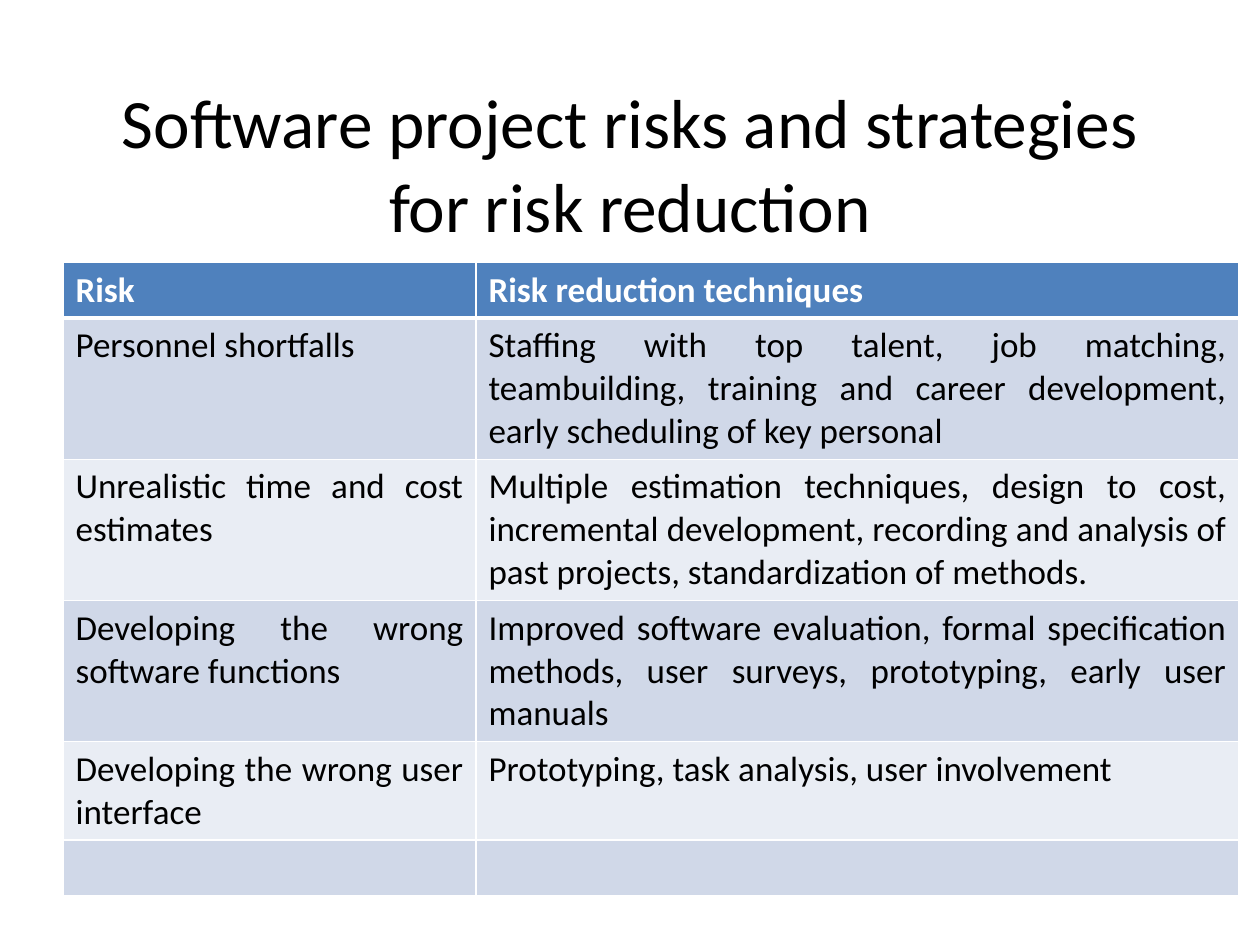
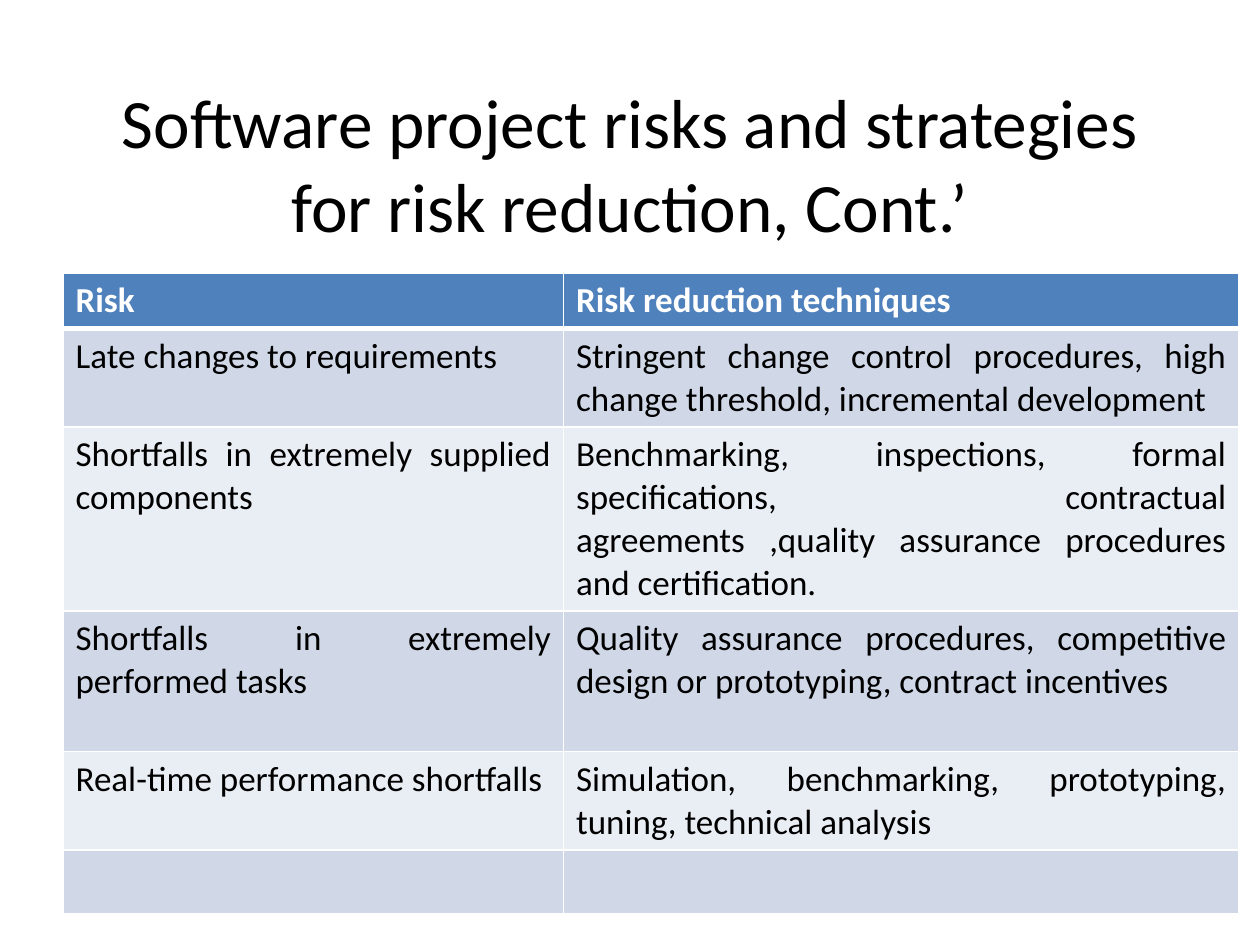
from lxml.etree import SubElement
from pptx import Presentation
from pptx.dml.color import RGBColor
from pptx.enum.text import MSO_ANCHOR, MSO_AUTO_SIZE, PP_ALIGN
from pptx.oxml.ns import qn
from pptx.util import Pt

COLORS = {
    "text": "000000",
    "white": "FFFFFF",
    "header": "4F81BD",
    "band_dark": "D0D8E8",
    "band_light": "E9EDF4",
}
FONT = "Calibri"
TITLE = "Software project risks and strategies for risk reduction"
HEADER = ("Risk", "Risk reduction techniques")
LINE_HEIGHT = 24.4
CELL_PADDING = 7.2
TABLE_LEFT = 36

RISKS = [
    (3, "Personnel shortfalls",
     "Staffing with top talent, job matching, teambuilding, training and career "
     "development, early scheduling of key personal"),
    (3, "Unrealistic time and cost estimates",
     "Multiple estimation techniques, design to cost, incremental development, "
     "recording and analysis of past projects, standardization of methods."),
    (3, "Developing the wrong software functions",
     "Improved software evaluation, formal specification methods, user surveys, "
     "prototyping, early user manuals"),
    (2, "Developing the wrong user interface",
     "Prototyping, task analysis, user involvement"),
    (1, "", ""),
]
MORE_RISKS = [
    (2, "Late changes to requirements",
     "Stringent change control procedures, high change threshold, "
     "incremental development"),
    (4, "Shortfalls in extremely supplied components",
     "Benchmarking, inspections, formal specifications, contractual agreements "
     ",quality assurance procedures and certification."),
    (3, "Shortfalls in extremely performed tasks",
     "Quality assurance procedures, competitive design or prototyping, "
     "contract incentives"),
    (2, "Real-time performance shortfalls",
     "Simulation, benchmarking, prototyping, tuning, technical analysis"),
    (1.2, "", ""),
]


def rgb(name):
    return RGBColor.from_string(COLORS[name])


def add_run(p, text, size, color, bold=False):
    r = p.add_run()
    r.text = text
    r.font.name = FONT
    r.font.size = Pt(size)
    r.font.bold = bold
    r.font.color.rgb = rgb(color)


def add_title_slide(prs, title):
    s = prs.slides.add_slide(prs.slide_layouts[5])
    sp = s.shapes.title
    sp.left, sp.top, sp.width, sp.height = Pt(36), Pt(48), Pt(648), Pt(90)
    tf = sp.text_frame
    tf.word_wrap = True
    tf.auto_size = MSO_AUTO_SIZE.NONE
    tf.vertical_anchor = MSO_ANCHOR.MIDDLE
    p = tf.paragraphs[0]
    p.alignment = PP_ALIGN.CENTER
    add_run(p, title, 39.6, "text")
    return s


def set_borders(cell, top, bottom):
    tcPr = cell._tc.get_or_add_tcPr()
    for side, width in (("L", 1), ("R", 1), ("T", top), ("B", bottom)):
        ln = SubElement(tcPr, qn(f"a:ln{side}"), w=str(Pt(width)))
        fill = SubElement(ln, qn("a:solidFill"))
        SubElement(fill, qn("a:srgbClr"), val=COLORS["white"])


def fill_cell(cell, row, text):
    set_borders(cell, top=3 if row == 1 else 1, bottom=3 if row == 0 else 1)
    band = "band_dark" if row % 2 else "band_light"
    cell.fill.solid()
    cell.fill.fore_color.rgb = rgb("header" if row == 0 else band)
    if text:
        p = cell.text_frame.paragraphs[0]
        p.alignment = PP_ALIGN.JUSTIFY
        add_run(p, text, 20, "text" if row else "white", bold=row == 0)


def add_risk_table(s, top, col_widths, risks):
    rows = [(1, *HEADER), *risks]
    heights = [lines * LINE_HEIGHT + CELL_PADDING for lines, *_ in rows]
    table = s.shapes.add_table(
        len(rows), len(HEADER), Pt(TABLE_LEFT), Pt(top),
        Pt(sum(col_widths)), Pt(sum(heights))).table
    for column, width in zip(table.columns, col_widths):
        column.width = Pt(width)
    for i, (_, *texts) in enumerate(rows):
        table.rows[i].height = Pt(heights[i])
        for j, text in enumerate(texts):
            fill_cell(table.cell(i, j), i, text)


def main():
    prs = Presentation()
    prs.slide_width, prs.slide_height = Pt(720), Pt(540)
    add_risk_table(add_title_slide(prs, TITLE), 150, (236, 436), RISKS)
    add_risk_table(add_title_slide(prs, f"{TITLE}, Cont.’"), 156,
                   (286, 386), MORE_RISKS)
    prs.save("out.pptx")


if __name__ == "__main__":
    main()
